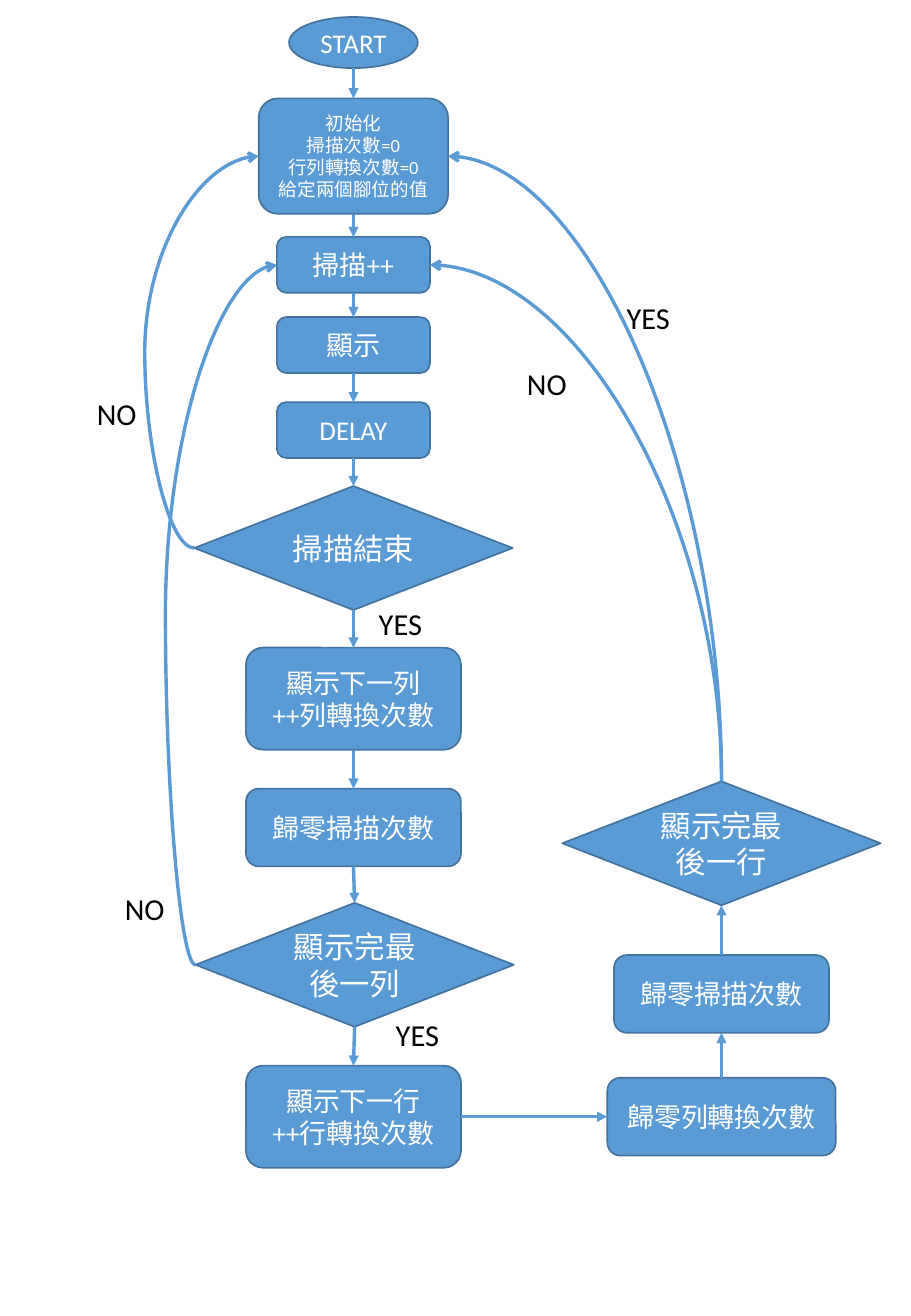
import pptx
import pptx.util
import pptx.dml.color
import pptx.enum.shapes
import pptx.enum.text
import pptx.oxml.ns
from dataclasses import dataclass
from lxml import etree
from pptx.util import Inches

SHAPE = pptx.enum.shapes.MSO_SHAPE
CONNECTOR = pptx.enum.shapes.MSO_CONNECTOR
TEXT = pptx.enum.text
qn = pptx.oxml.ns.qn

# Connection sites, in the order that boxes and diamonds number them
TOP, LEFT, BOTTOM, RIGHT = range(4)
SITE_OFFSETS = [(0.5, 0), (0, 0.5), (0.5, 1), (1, 0.5)]


@dataclass
class Theme:
    font: str = "Calibri"
    fill: str = "5B9BD5"
    outline: str = "43739E"
    on_fill: str = "FFFFFF"
    ink: str = "000000"
    small: int = 11
    body: int = 16
    large: int = 18
    outline_width: float = 1
    arrow_width: float = 2


def color(value):
    return pptx.dml.color.RGBColor.from_string(value)


def site_point(shape, site):
    across, down = SITE_OFFSETS[site]
    return int(shape.left + across * shape.width), int(shape.top + down * shape.height)


class FlowChart:
    def __init__(self, page, theme):
        self.page = page
        self.theme = theme

    def add_lines(self, frame, lines, size, ink, alignment):
        for index, line in enumerate(lines):
            para = frame.paragraphs[0] if index == 0 else frame.add_paragraph()
            para.text = line
            para.alignment = alignment
            para.font.name = self.theme.font
            para.font.size = pptx.util.Pt(size)
            para.font.color.rgb = color(ink)

    def node(self, kind, center, top, width, height, *lines, size=None):
        theme = self.theme
        shape = self.page.shapes.add_shape(
            kind, Inches(center - width / 2), Inches(top), Inches(width), Inches(height))
        shape.shadow.inherit = False
        shape.fill.solid()
        shape.fill.fore_color.rgb = color(theme.fill)
        shape.line.color.rgb = color(theme.outline)
        shape.line.width = pptx.util.Pt(theme.outline_width)
        frame = shape.text_frame
        frame.word_wrap = True
        frame.vertical_anchor = TEXT.MSO_ANCHOR.MIDDLE
        self.add_lines(frame, lines, size or theme.body, theme.on_fill, TEXT.PP_ALIGN.CENTER)
        return shape

    def step(self, *place_and_lines, size=None):
        return self.node(SHAPE.ROUNDED_RECTANGLE, *place_and_lines, size=size)

    def decision(self, center, top, line):
        return self.node(SHAPE.DIAMOND, center, top, 2.62, 1.02, line, size=self.theme.large)

    def label(self, left, top, word):
        width = 0.54 if word == "NO" else 0.77
        box = self.page.shapes.add_textbox(Inches(left), Inches(top), Inches(width), Inches(0.4))
        box.text_frame.word_wrap = False
        box.text_frame.auto_size = TEXT.MSO_AUTO_SIZE.SHAPE_TO_FIT_TEXT
        self.add_lines(box.text_frame, [word], self.theme.large, self.theme.ink,
                       TEXT.PP_ALIGN.LEFT)

    def arrow(self, start, start_site, end, end_site, kind=CONNECTOR.STRAIGHT, head="triangle"):
        connector = self.page.shapes.add_connector(
            kind, *site_point(start, start_site), *site_point(end, end_site))
        # An ellipse numbers its sites differently, so only its far end is glued
        if start.auto_shape_type != SHAPE.OVAL:
            connector.begin_connect(start, start_site)
        connector.end_connect(end, end_site)
        connector.line.color.rgb = color(self.theme.fill)
        connector.line.width = pptx.util.Pt(self.theme.arrow_width)
        properties = connector._element.spPr
        etree.SubElement(properties.find(qn("a:ln")), qn("a:tailEnd"), type=head)
        etree.SubElement(properties, qn("a:effectLst"))
        return connector

    def loop(self, start, start_site, end, end_site, bulge=None):
        """Curved arrow back to an earlier step: a C with a bulge, or a quarter turn."""
        connector = self.arrow(start, start_site, end, end_site, CONNECTOR.CURVE, "arrow")
        frame = connector._element.spPr.find(qn("a:xfrm"))
        geometry = connector._element.spPr.find(qn("a:prstGeom"))
        for flip in ("flipH", "flipV"):
            frame.attrib.pop(flip, None)
        if bulge is not None:
            frame.set("rot", str(180 * 60000))
            frame.set("flipH", "1")
            guides = geometry.find(qn("a:avLst"))
            if guides is None:
                guides = etree.SubElement(geometry, qn("a:avLst"))
            etree.SubElement(guides, qn("a:gd"), name="adj1", fmla=f"val {round(bulge * 100000)}")
            return
        # The frame is stored before its quarter turn, about the same centre
        width, height = connector.width, connector.height
        shift = (width - height) // 2
        connector.left, connector.top = connector.left + shift, connector.top - shift
        connector.width, connector.height = height, width
        frame.set("rot", str(270 * 60000))
        frame.set("flipV", "1")
        geometry.set("prst", "curvedConnector2")


deck = pptx.Presentation()
deck.slide_width, deck.slide_height = Inches(7.5), Inches(10.83)
theme = Theme()
chart = FlowChart(deck.slides.add_slide(deck.slide_layouts[6]), theme)

# Main column
main = 2.91
start = chart.node(SHAPE.OVAL, main, 0.14, 1.06, 0.42, "START")
setup = chart.step(main, 0.81, 1.56, 0.95, "初始化", "掃描次數=0", "行列轉換次數=0",
                   "給定兩個腳位的值", size=theme.small)
scan, show, delay = [
    chart.step(main, top, 1.26, 0.46, line)
    for top, line in [(1.95, "掃描++"), (2.61, "顯示"), (3.31, "DELAY")]]
scan_done = chart.decision(main, 4, "掃描結束")
next_column = chart.step(main, 5.33, 1.77, 0.84, "顯示下一列", "++列轉換次數")
reset_scan = chart.step(main, 6.49, 1.77, 0.64, "歸零掃描次數")
last_column = chart.decision(main + 0.01, 7.43, "顯示完最後一列")
next_row = chart.step(main, 8.77, 1.77, 0.84, "顯示下一行", "++行轉換次數")

# Return column
side = 5.94
reset_column = chart.step(side, 8.87, 1.88, 0.64, "歸零列轉換次數")
reset_scan_again = chart.step(side, 7.86, 1.77, 0.64, "歸零掃描次數")
last_row = chart.decision(side, 6.43, "顯示完最後一行")

# Straight arrows: down, across, up
down = [start, setup, scan, show, delay, scan_done, next_column, reset_scan, last_column, next_row]
for above, below in zip(down, down[1:]):
    chart.arrow(above, BOTTOM, below, TOP)
chart.arrow(next_row, RIGHT, reset_column, LEFT)
up = [reset_column, reset_scan_again, last_row]
for below, above in zip(up, up[1:]):
    chart.arrow(below, TOP, above, BOTTOM)

# Loops back
chart.loop(scan_done, LEFT, setup, LEFT, bulge=-0.77)
chart.loop(last_column, LEFT, scan, LEFT, bulge=-0.37)
chart.loop(last_row, TOP, setup, RIGHT)
chart.loop(last_row, TOP, scan, RIGHT)

# Branch labels
for left, top, word in [(0.93, 7.28, "NO"), (0.7, 3.2, "NO"), (5.06, 2.41, "YES"),
                        (3.16, 8.31, "YES"), (4.24, 2.96, "NO"), (3.02, 4.93, "YES")]:
    chart.label(left, top, word)

deck.save("out.pptx")
